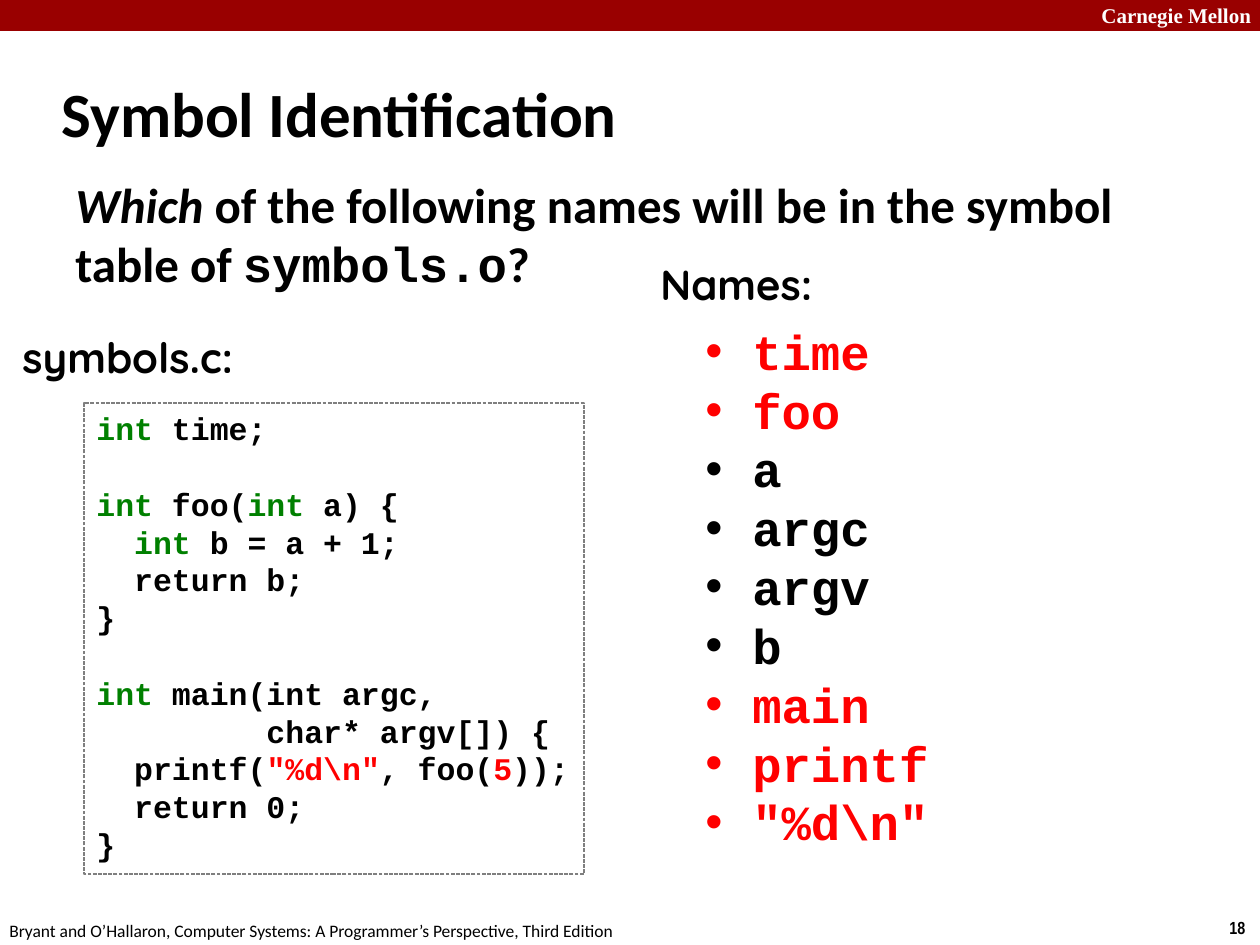
import pptx
import pptx.dml.color
import pptx.enum.dml
import pptx.enum.shapes
import pptx.enum.text
import pptx.oxml.ns
import pptx.util
import lxml.etree

PX = 914400 / 126
COLORS = {
    "banner": "990000",
    "white": "FFFFFF",
    "black": "000000",
    "keyword": "008000",
    "red": "FF0000",
    "border": "7F7F7F",
}


def rgb(name):
    return pptx.dml.color.RGBColor.from_string(COLORS[name])


def add_text(box, lines, font_name, size, bold=True, wrap=False):
    """Add a text box; each line is a list of (text, color name) runs."""
    shape = slide.shapes.add_textbox(*(round(value * PX) for value in box))
    text_frame = shape.text_frame
    text_frame.word_wrap = wrap
    for index, line in enumerate(lines):
        paragraph = text_frame.add_paragraph() if index else text_frame.paragraphs[0]
        for text, color in line:
            run = paragraph.add_run()
            run.text = text
            run.font.name = font_name
            run.font.size = pptx.util.Pt(size)
            run.font.bold = bold
            run.font.color.rgb = rgb(color)
    return shape


presentation = pptx.Presentation()
presentation.slide_width = round(1260 * PX)
presentation.slide_height = round(945 * PX)
slide = presentation.slides.add_slide(presentation.slide_layouts[6])

# Banner and footer
banner = slide.shapes.add_shape(
    pptx.enum.shapes.MSO_SHAPE.RECTANGLE, 0, 0, presentation.slide_width, round(31 * PX)
)
banner.shadow.inherit = False
banner.fill.solid()
banner.fill.fore_color.rgb = rgb("banner")
banner.line.fill.background()
add_text((1089, -4, 180, 38), [[("Carnegie Mellon", "white")]], "Times New Roman", 12, wrap=True)
add_text((1217, 911, 43, 34), [[("18", "black")]], "Arial Narrow", 10)
citation = "Bryant and O’Hallaron, Computer Systems: A Programmer’s Perspective, Third Edition"
add_text((-3, 914, 640, 34), [[(citation, "black")]], "Calibri", 10, bold=False)

# Title and question
title = add_text((49, 60, 1046, 105), [[("Symbol Identification", "black")]], "Calibri", 36, wrap=True)
title.text_frame.vertical_anchor = pptx.enum.text.MSO_ANCHOR.MIDDLE
question_runs = [
    ("Which ", "black"),
    ("of the following names will be in the symbol table of ", "black"),
    ("symbols.o", "black"),
    ("?", "black"),
]
question = add_text((63, 168, 1113, 136), [question_runs], "Calibri", 28, wrap=True)
runs = question.text_frame.paragraphs[0].runs
runs[0].font.italic = True
runs[2].font.name = "Courier New"

# Section labels
add_text((10, 325, 243, 63), [[("symbols.c:", "black")]], "Quicksand", 24)
add_text((648, 252, 181, 63), [[("Names:", "black")]], "Quicksand", 24)

# Source code
code_lines = [
    [("int ", "keyword"), ("time;", "black")],
    [("int ", "keyword"), ("foo(", "black"), ("int ", "keyword"), ("a) {", "black")],
    [("  ", "black"), ("int ", "keyword"), ("b = a + 1;", "black")],
    [("  return b;", "black")],
    [("}", "black")],
    [("int ", "keyword"), ("main(int argc,", "black")],
    [("         char* argv[]) {", "black")],
    [("  printf(", "black"), (r'"%d\n"', "red"), (", foo(", "black"), ("5", "red"), ("));", "black")],
    [("  return 0;", "black")],
    [("}", "black")],
]
code = add_text((84, 403, 500, 471), code_lines, "Courier New", 18)
code.line.color.rgb = rgb("border")
code.line.width = pptx.util.Pt(0.75)
code.line.dash_style = pptx.enum.dml.MSO_LINE.SQUARE_DOT
code.line._get_or_add_ln().find(pptx.oxml.ns.qn("a:prstDash")).set("val", "sysDash")
for function_start in (1, 5):
    code.text_frame.paragraphs[function_start].space_before = pptx.util.Pt(21.6)

# Candidate names, with those in the symbol table in red
names = ["time", "foo", "a", "argc", "argv", "b", "main", "printf", r'"%d\n"']
local_names = {"a", "argc", "argv", "b"}
name_lines = [[(name, "black" if name in local_names else "red")] for name in names]
name_list = add_text((693, 315, 325, 547), name_lines, "Courier New", 28, wrap=True)
for paragraph in name_list.text_frame.paragraphs:
    properties = paragraph._p.get_or_add_pPr()
    properties.set("marL", str(round(47 * PX)))
    properties.set("indent", str(round(-47 * PX)))
    bullet_font = lxml.etree.SubElement(properties, pptx.oxml.ns.qn("a:buFont"))
    bullet_font.set("typeface", "Arial")
    bullet = lxml.etree.SubElement(properties, pptx.oxml.ns.qn("a:buChar"))
    bullet.set("char", "•")

presentation.save("out.pptx")
